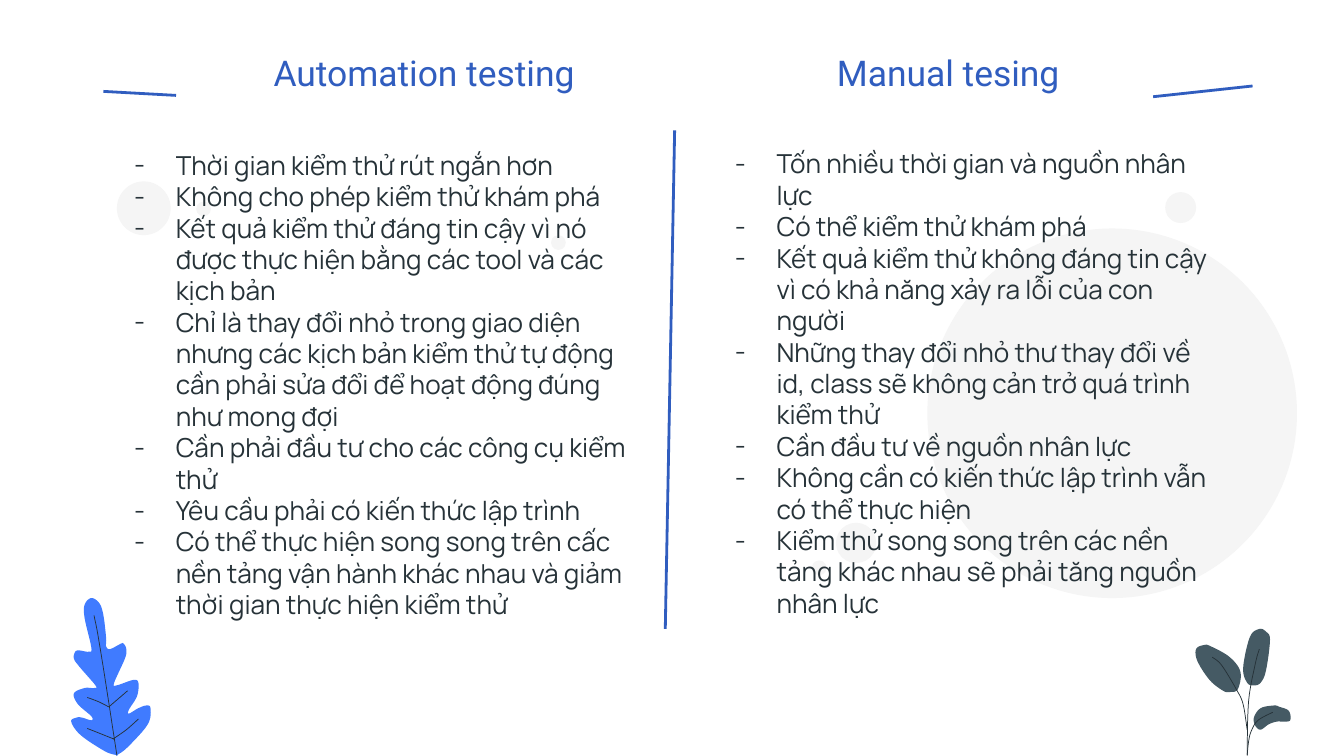
import pptx
import pptx.dml.color
import pptx.enum.shapes
import pptx.enum.text
import pptx.oxml
import pptx.oxml.ns
import pptx.util

Inches = pptx.util.Inches
Pt = pptx.util.Pt
BLUE, INK, PALE, LEAF, SLATE = "305DBF", "263238", "F5F5F5", "407BFF", "455A64"
CURVE_STEPS = 6
NAMESPACE = pptx.oxml.ns.nsdecls("a")


def color(hex_code):
    return pptx.dml.color.RGBColor.from_string(hex_code)


def smooth(points, closed):
    """Return a Catmull-Rom curve in EMU; a doubled point makes a tip."""
    if closed:
        padded = [points[-1], *points, *points[:2]]
    else:
        padded = [points[0], *points, points[-1]]
    curve = [tuple(map(Inches, padded[1]))]
    for a, b, c, d in zip(padded, padded[1:], padded[2:], padded[3:]):
        for step in range(1, CURVE_STEPS + 1):
            t = step / CURVE_STEPS
            curve.append(tuple(
                Inches(q + t * (r - p) / 2
                       + t**2 * (2 * p - 5 * q + 4 * r - s) / 2
                       + t**3 * (3 * q - p - 3 * r + s) / 2)
                for p, q, r, s in zip(a, b, c, d)))
    return curve


deck = pptx.Presentation()
deck.slide_width = Inches(10)
deck.slide_height = deck.slide_width * 9 // 16
slide = deck.slides.add_slide(deck.slide_layouts[6])
slide.background.fill.solid()
slide.background.fill.fore_color.rgb = color("FFFFFF")

# Pale bubbles: left, top, diameter
bubbles = [
    (6.9, 1.7, 2.75), (0.87, 1.35, 0.4), (8.67, 1.43, 0.23), (6.04, 4.17, 0.11),
    (6.22, 3.89, 0.3), (1.46, 1.5, 0.11), (4.1, 1.75, 0.11),
]
for left, top, diameter in bubbles:
    bubble = slide.shapes.add_shape(
        pptx.enum.shapes.MSO_SHAPE.OVAL,
        Inches(left), Inches(top), Inches(diameter), Inches(diameter))
    bubble.shadow.inherit = False
    bubble.fill.solid()
    bubble.fill.fore_color.rgb = color(PALE)
    bubble.line.fill.background()

# Title dashes and the divider between the columns
strokes = [(1.31, 0.71, 0.77, 0.68), (9.32, 0.64, 8.58, 0.72), (4.95, 4.68, 5.02, 0.97)]
for ends in strokes:
    stroke = slide.shapes.add_connector(
        pptx.enum.shapes.MSO_CONNECTOR.STRAIGHT, *map(Inches, ends))
    stroke.line.color.rgb = color(BLUE)
    stroke.line.width = Pt(1.5)
    stroke._element.spPr.append(pptx.oxml.parse_xml(f"<a:effectLst {NAMESPACE}/>"))

# Each plant: leaf colour, leaf outlines, veins
plants = [
    (LEAF, [
        [(0.68, 4.45), (0.74, 4.49), (0.77, 4.58), (0.79, 4.75), (0.79, 4.81),
         (0.82, 4.83), (0.9, 4.79), (0.92, 4.79), (0.94, 4.83), (0.93, 4.9),
         (0.85, 5.08), (0.87, 5.1), (0.99, 5.06), (1.03, 5.08), (1.02, 5.18),
         (0.96, 5.28), (0.96, 5.31), (1.03, 5.27), (1.09, 5.25), (1.12, 5.27),
         (1.1, 5.39), (0.95, 5.56), (0.87, 5.62), (0.87, 5.62), (0.78, 5.59),
         (0.6, 5.47), (0.53, 5.37), (0.57, 5.34), (0.61, 5.34), (0.68, 5.36),
         (0.68, 5.33), (0.58, 5.24), (0.55, 5.16), (0.63, 5.12), (0.7, 5.12),
         (0.71, 5.1), (0.59, 4.96), (0.55, 4.9), (0.56, 4.85), (0.59, 4.84),
         (0.66, 4.85), (0.68, 4.82), (0.63, 4.6), (0.63, 4.5)],
    ], [
        [(0.7, 4.58), (0.73, 4.73), (0.79, 5.1), (0.87, 5.62)],
        [(0.95, 5.14), (0.88, 5.2), (0.81, 5.26)],
        [(0.65, 5.19), (0.73, 5.22), (0.81, 5.26)],
        [(0.65, 5.42), (0.75, 5.46), (0.85, 5.5)],
        [(1.03, 5.35), (0.94, 5.43), (0.84, 5.5)],
    ]),
    (SLATE, [
        [(9.48, 5.25), (9.38, 5.27), (9.33, 5.34), (9.34, 5.4), (9.38, 5.43),
         (9.44, 5.39), (9.5, 5.37), (9.55, 5.37), (9.6, 5.36), (9.59, 5.29),
         (9.52, 5.26)],
        [(9.37, 4.68), (9.3, 4.74), (9.25, 4.97), (9.28, 5.08), (9.33, 5.1),
         (9.38, 5.08), (9.42, 4.99), (9.45, 4.76), (9.42, 4.7)],
        [(8.96, 4.8), (8.9, 4.83), (8.91, 4.92), (9, 5.06), (9.1, 5.14),
         (9.15, 5.15), (9.21, 5.13), (9.23, 5), (9.15, 4.89), (9.01, 4.81)],
    ], [
        [(9.47, 5.3), (9.36, 5.36), (9.31, 5.44), (9.29, 5.52), (9.28, 5.62)],
        [(9.37, 4.83), (9.34, 4.94), (9.29, 5.22), (9.28, 5.62)],
        [(9.02, 4.89), (9.09, 4.95), (9.2, 5.13), (9.25, 5.24), (9.28, 5.43)],
    ]),
]
for leaf_color, leaves, veins in plants:
    plant = slide.shapes.add_group_shape()
    for outline, closed in [(o, True) for o in leaves] + [(v, False) for v in veins]:
        curve = smooth(outline, closed)
        builder = plant.shapes.build_freeform(*curve[0])
        builder.add_line_segments(curve[1:], close=closed)
        part = builder.convert_to_shape()
        part.shadow.inherit = False
        if closed:
            part.fill.solid()
            part.fill.fore_color.rgb = color(leaf_color)
            part.line.fill.background()
        else:
            part.fill.background()
            part.line.color.rgb = color(INK)
            part.line.width = Pt(0.4)

# Text blocks: box, style, colour, lines
title_style = {"name": "Roboto", "size": Pt(19)}
point_style = {"name": "Manrope", "size": Pt(14)}
texts = [
    ((1.68, 0.28, 2.95, 0.52), title_style, BLUE, ["Automation testing"]),
    ((5.53, 0.28, 3.05, 0.52), title_style, BLUE, ["Manual tesing"]),
    ((0.9, 1.01, 3.87, 3.81), point_style, INK, [
        "Thời gian kiểm thử rút ngắn hơn",
        "Không cho phép kiểm thử khám phá",
        "Kết quả kiểm thử đáng tin cậy vì nó được thực hiện bằng các tool và các kịch bản",
        "Chỉ là thay đổi nhỏ trong giao diện nhưng các kịch bản kiểm thử tự động "
        "cần phải sửa đổi để hoạt động đúng như mong đợi",
        "Cần phải đầu tư cho các công cụ kiểm thử",
        "Yêu cầu phải có kiến thức lập trình",
        "Có thể thực hiện song song trên cấc nền tảng vận hành khác nhau và giảm "
        "thời gian thực hiện kiểm thử",
    ]),
    ((5.37, 1, 3.84, 3.81), point_style, INK, [
        "Tốn nhiều thời gian và nguồn nhân lực",
        "Có thể kiểm thử khám phá",
        "Kết quả kiểm thử không đáng tin cậy vì có khả năng xảy ra lỗi của con người",
        "Những thay đổi nhỏ thư thay đổi về id, class sẽ không cản trở quá trình kiểm thử",
        "Cần đầu tư về nguồn nhân lực",
        "Không cần có kiến thức lập trình vẫn có thể thực hiện",
        "Kiểm thử song song trên các nền tảng khác nhau sẽ phải tăng nguồn nhân lực",
    ]),
]
anchor = pptx.enum.text.MSO_ANCHOR
for box, style, text_color, lines in texts:
    is_title = style is title_style
    frame = slide.shapes.add_textbox(*map(Inches, box)).text_frame
    frame_format = {
        "word_wrap": True,
        "vertical_anchor": anchor.MIDDLE if is_title else anchor.TOP,
        **{f"margin_{side}": Inches(0.1) for side in ("left", "top", "right", "bottom")},
    }
    for key, value in frame_format.items():
        setattr(frame, key, value)
    for index, line in enumerate(lines):
        paragraph = frame.add_paragraph() if index else frame.paragraphs[0]
        run = paragraph.add_run()
        run.text = line
        for key, value in style.items():
            setattr(run.font, key, value)
        run.font.color.rgb = color(text_color)
        if is_title:
            paragraph.alignment = pptx.enum.text.PP_ALIGN.CENTER
            continue
        properties = paragraph._p.get_or_add_pPr()
        properties.set("marL", str(Inches(0.31)))
        properties.set("indent", str(-Inches(0.31)))
        for bullet in (f'<a:buClr {NAMESPACE}><a:srgbClr val="{INK}"/></a:buClr>',
                       f'<a:buFont {NAMESPACE} typeface="Manrope"/>',
                       f'<a:buChar {NAMESPACE} char="-"/>'):
            properties.append(pptx.oxml.parse_xml(bullet))

deck.save("out.pptx")
